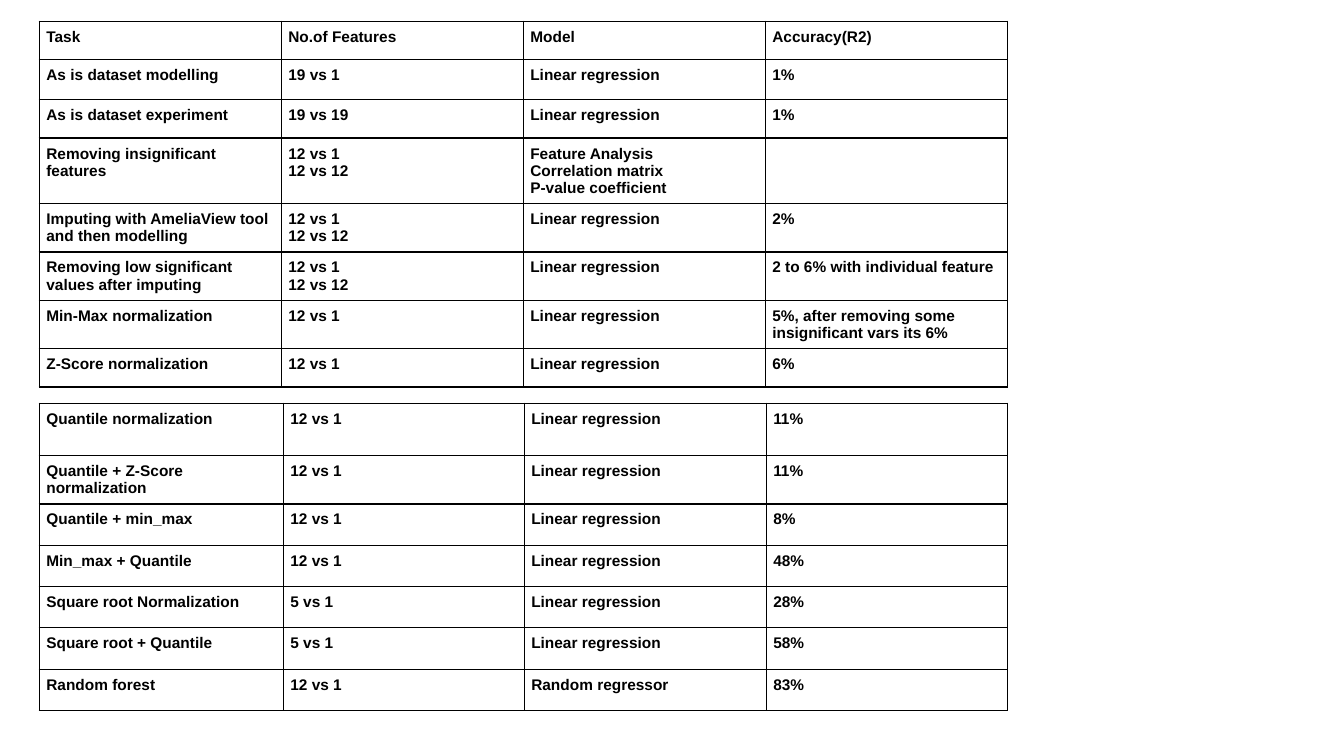
from dataclasses import dataclass

from lxml.etree import SubElement
from pptx import Presentation
from pptx.dml.color import RGBColor
from pptx.oxml.ns import qn
from pptx.slide import Slide
from pptx.table import _Cell as Cell
from pptx.util import Emu, Pt

EMU_PER_PX = 9144  # 100 px to the inch
INK = "000000"
PADDING = 7
BORDER_WIDTH = Pt(1)


@dataclass
class ResultTable:
    left: int
    top: int
    width: int
    height: int
    columns: list[int]
    row_heights: list[int]
    rows: list[tuple[str, str, str, str]]


LINEAR = "Linear regression"

EARLY_RESULTS = ResultTable(
    39, 21, 1200, 376, [240] * 4, [38, 40, 38, 40, 38, 38, 38, 38],
    [
        ("Task", "No.of Features", "Model", "Accuracy(R2)"),
        ("As is dataset modelling", "19 vs 1", LINEAR, "1%"),
        ("As is dataset experiment", "19 vs 19", LINEAR, "1%"),
        ("Removing insignificant features", "12 vs 1\n12 vs 12",
         "Feature Analysis\nCorrelation matrix\nP-value coefficient", ""),
        ("Imputing with AmeliaView tool and then modelling", "12 vs 1\n12 vs 12", LINEAR, "2%"),
        ("Removing low significant values after imputing", "12 vs 1\n12 vs 12", LINEAR,
         "2 to 6% with individual feature"),
        ("Min-Max normalization", "12 vs 1", LINEAR,
         "5%, after removing some insignificant vars its 6%"),
        ("Z-Score normalization", "12 vs 1", LINEAR, "6%"),
    ],
)

QUANTILE_RESULTS = ResultTable(
    39, 400, 960, 306, [242, 239, 240, 239], [52] + [41] * 6,
    [
        ("Quantile normalization", "12 vs 1", LINEAR, "11%"),
        ("Quantile + Z-Score normalization", "12 vs 1", LINEAR, "11%"),
        ("Quantile + min_max", "12 vs 1", LINEAR, "8%"),
        ("Min_max + Quantile", "12 vs 1", LINEAR, "48%"),
        ("Square root Normalization", "5 vs 1", LINEAR, "28%"),
        ("Square root + Quantile", "5 vs 1", LINEAR, "58%"),
        ("Random forest", "12 vs 1", "Random regressor", "83%"),
    ],
)


def px(length: int) -> Emu:
    return Emu(length * EMU_PER_PX)


def color(value: str) -> RGBColor:
    return RGBColor.from_string(value)


def draw_borders(cell: Cell) -> None:
    properties = cell._tc.get_or_add_tcPr()
    for side in ("a:lnL", "a:lnR", "a:lnT", "a:lnB"):
        line = SubElement(properties, qn(side), w=str(int(BORDER_WIDTH)))
        fill = SubElement(line, qn("a:solidFill"))
        SubElement(fill, qn("a:srgbClr"), val=INK)


def write_cell(cell: Cell, text: str) -> None:
    cell.margin_left = cell.margin_right = px(PADDING)
    cell.margin_top = cell.margin_bottom = px(PADDING)
    draw_borders(cell)
    cell.fill.background()
    if not text:
        return
    # One paragraph for each line of the cell
    frame = cell.text_frame
    for index, line in enumerate(text.split("\n")):
        paragraph = frame.add_paragraph() if index else frame.paragraphs[0]
        run = paragraph.add_run()
        run.text = line
        run.font.name = "Arial"
        run.font.size = Pt(11)
        run.font.bold = True
        run.font.color.rgb = color(INK)


def draw_results(slide: Slide, results: ResultTable) -> None:
    frame = slide.shapes.add_table(
        len(results.rows), len(results.columns),
        px(results.left), px(results.top), px(results.width), px(results.height))
    grid = frame.table
    grid.first_row = grid.horz_banding = False
    for column, width in zip(grid.columns, results.columns):
        column.width = px(width)
    for row, height, texts in zip(grid.rows, results.row_heights, results.rows):
        row.height = px(height)
        for cell, text in zip(row.cells, texts):
            write_cell(cell, text)
    # Column and row sizes reset the frame, so its size comes last
    frame.width, frame.height = px(results.width), px(results.height)


def main() -> None:
    deck = Presentation()
    deck.slide_width, deck.slide_height = px(1333), px(750)
    slide = deck.slides.add_slide(deck.slide_layouts[6])
    for results in (EARLY_RESULTS, QUANTILE_RESULTS):
        draw_results(slide, results)
    deck.save("out.pptx")


if __name__ == "__main__":
    main()
